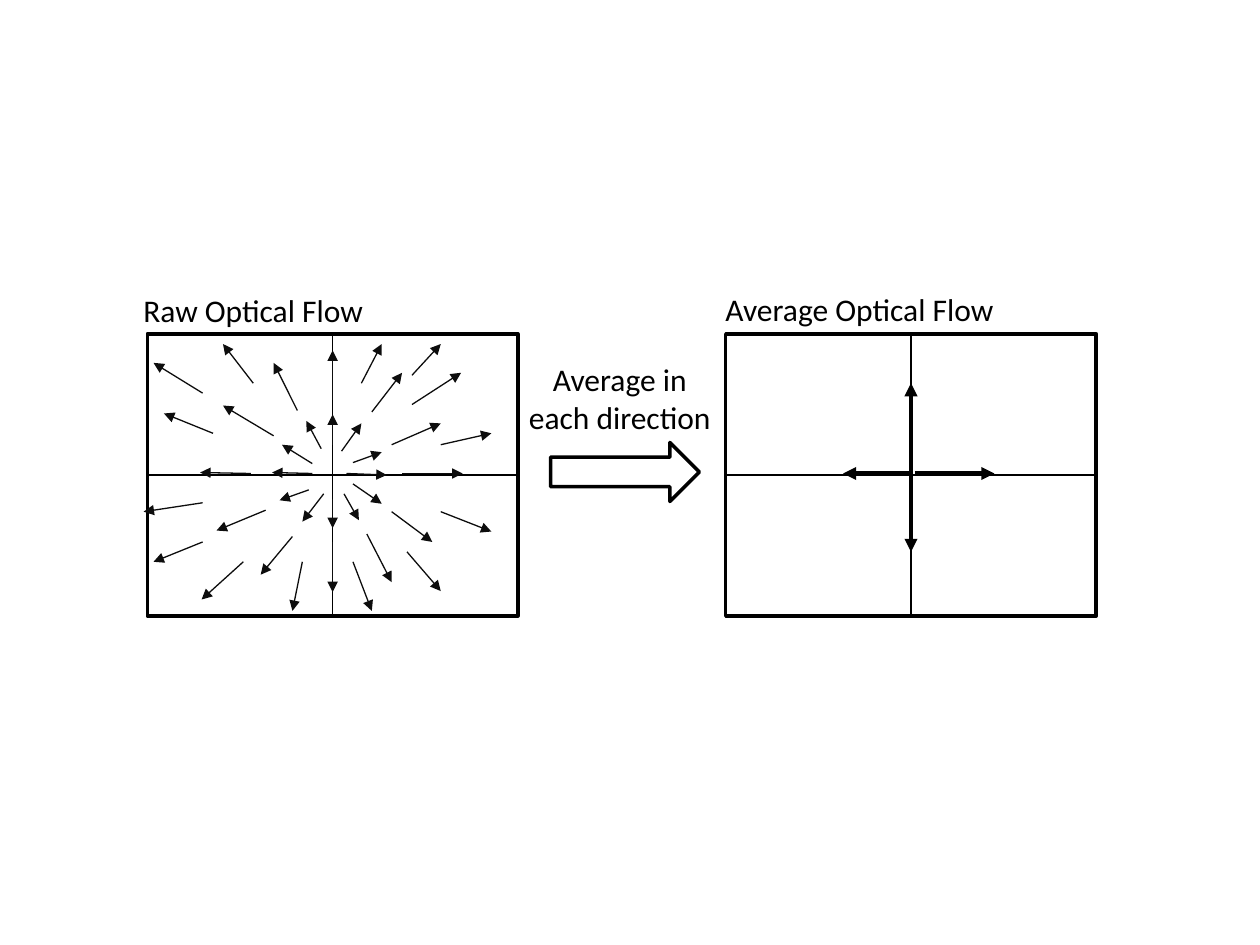
from dataclasses import dataclass

from lxml import etree
from pptx import Presentation
from pptx.dml.color import RGBColor
from pptx.enum.shapes import MSO_CONNECTOR, MSO_SHAPE
from pptx.enum.text import MSO_AUTO_SIZE, PP_ALIGN
from pptx.oxml.ns import qn
from pptx.util import Cm, Pt

RECTANGLE = MSO_SHAPE.RECTANGLE
RIGHT_ARROW = MSO_SHAPE.RIGHT_ARROW
STRAIGHT = MSO_CONNECTOR.STRAIGHT
CENTER = PP_ALIGN.CENTER
FIT_SHAPE = MSO_AUTO_SIZE.SHAPE_TO_FIT_TEXT
TOP, LEFT, BOTTOM, RIGHT = range(4)


@dataclass(frozen=True)
class Theme:
    font: str = "Calibri"
    text_size: float = 18
    ink: RGBColor = RGBColor(0x00, 0x00, 0x00)
    flow: RGBColor = RGBColor(0x0D, 0x0D, 0x0D)
    paper: RGBColor = RGBColor(0xFF, 0xFF, 0xFF)
    thin: float = 0.75
    outline: float = 2
    heavy: float = 2.5


# All lengths are in centimetres.
FRAME_W, FRAME_H, FRAME_TOP = 7.47, 5.69, 6.73
RAW_LEFT, AVERAGE_LEFT = 2.97, 14.63

# Each vector is (start x, start y, tip x, tip y) from the centre of its frame.
RAW_FLOW = [
    # inner ring
    (0, -0.61, 0, -1.22), (0.18, -0.48, 0.58, -1.04),
    (0.41, -0.25, 0.99, -0.46), (0.28, -0.03, 1.09, 0),
    (0.41, 0.18, 0.99, 0.58), (0.23, 0.38, 0.53, 0.91),
    (0, 0.48, 0, 1.07), (-0.18, 0.38, -0.61, 0.94),
    (-0.48, 0.3, -1.07, 0.51), (-0.23, -0.53, -0.53, -1.09),
    (-0.41, -0.23, -1.02, -0.61), (-0.41, -0.03, -1.22, -0.05),
    # middle ring
    (0.79, -1.27, 1.4, -2.06), (1.19, -0.61, 2.18, -1.04),
    (1.19, 0.74, 2.01, 1.35), (0.69, 1.19, 1.19, 2.16),
    (0, 1.35, 0, 2.36), (0, -1.52, 0, -2.51),
    (1.4, -0.03, 2.62, -0.03), (-1.19, -0.79, -2.21, -1.4),
    (-0.71, -1.3, -1.19, -2.26), (-1.65, -0.03, -2.67, -0.05),
    (-1.35, 0.71, -2.34, 1.12), (-0.81, 1.24, -1.45, 2.01),
    # outer ring
    (-2.62, -1.65, -3.61, -2.26), (-2.62, 1.35, -3.61, 1.75),
    (-1.8, 1.75, -2.64, 2.51), (-0.61, 1.75, -0.81, 2.74),
    (-1.6, -1.85, -2.21, -2.64), (-2.62, 0.56, -3.81, 0.74),
    (0.41, 1.75, 0.79, 2.74), (1.5, 1.55, 2.18, 2.34),
    (2.18, 0.74, 3.2, 1.14), (-2.41, -0.84, -3.4, -1.24),
    (1.6, -1.42, 2.59, -2.06), (0.58, -1.85, 0.99, -2.64),
    (2.18, -0.61, 3.2, -0.84), (1.6, -2.01, 2.18, -2.64),
]
AVERAGE_FLOW = [
    (0, -0.05, 0, -1.85), (0.08, -0.03, 1.68, -0.03),
    (0, -0.05, 0, 1.55), (0.03, -0.03, -1.37, -0.03),
]


def write_text(tf, text, *, font, size, color, align=CENTER):
    """Fill a text frame, one paragraph for each line of text."""
    for i, line in enumerate(text.split("\n")):
        p = tf.paragraphs[0] if i == 0 else tf.add_paragraph()
        p.alignment = align
        r = p.add_run()
        r.text = line
        r.font.name = font
        r.font.size = Pt(size)
        r.font.color.rgb = color


class Diagram:
    """Draws on one slide in one theme."""

    def __init__(self, slide, theme):
        self.slide = slide
        self.theme = theme

    def shape(self, kind, x, y, w, h, fill=None):
        s = self.slide.shapes.add_shape(kind, Cm(x), Cm(y), Cm(w), Cm(h))
        s.shadow.inherit = False
        if fill is None:
            s.fill.background()
        else:
            s.fill.solid()
            s.fill.fore_color.rgb = fill
        s.line.color.rgb = self.theme.ink
        s.line.width = Pt(self.theme.outline)
        return s

    def line(self, x1, y1, x2, y2, color, width, arrow=False):
        c = self.slide.shapes.add_connector(STRAIGHT, Cm(x1), Cm(y1), Cm(x2), Cm(y2))
        c.line.color.rgb = color
        c.line.width = Pt(width)
        if arrow:
            etree.SubElement(c.line._get_or_add_ln(), qn("a:tailEnd"), type="triangle")
        etree.SubElement(c._element.spPr, qn("a:effectLst"))
        return c

    def label(self, text, x, y, w, h, wrap=True):
        tf = self.slide.shapes.add_textbox(Cm(x), Cm(y), Cm(w), Cm(h)).text_frame
        tf.word_wrap = wrap
        tf.auto_size = FIT_SHAPE
        t = self.theme
        write_text(tf, text, font=t.font, size=t.text_size, color=t.ink)

    def flow_field(self, left, vectors, color, width, fill=None):
        """Draw a frame with its two axes and the vectors about its centre."""
        t = self.theme
        frame = self.shape(RECTANGLE, left, FRAME_TOP, FRAME_W, FRAME_H, fill)
        cx, cy = left + FRAME_W / 2, FRAME_TOP + FRAME_H / 2
        for begin, end in ((TOP, BOTTOM), (RIGHT, LEFT)):
            axis = self.line(cx, cy, cx, cy, t.ink, t.thin)
            axis.begin_connect(frame, begin)
            axis.end_connect(frame, end)
        for x1, y1, x2, y2 in vectors:
            self.line(cx + x1, cy + y1, cx + x2, cy + y2, color, width, arrow=True)


def main():
    prs = Presentation()
    prs.slide_width, prs.slide_height = Cm(25.4), Cm(19.05)
    theme = Theme()
    d = Diagram(prs.slides.add_slide(prs.slide_layouts[6]), theme)

    d.flow_field(RAW_LEFT, RAW_FLOW, theme.flow, theme.thin, fill=theme.paper)
    d.flow_field(AVERAGE_LEFT, AVERAGE_FLOW, theme.ink, theme.heavy)
    d.shape(RIGHT_ARROW, 11.1, 8.92, 3, 1.19)

    d.label("Average in\neach direction", 10.31, 7.14, 4.37, 1.8, wrap=False)
    d.label("Raw Optical Flow", 2.11, 5.74, 5.99, 1.02)
    d.label("Average Optical Flow", 14.33, 5.72, 5.99, 1.02)
    prs.save("out.pptx")


if __name__ == "__main__":
    main()
